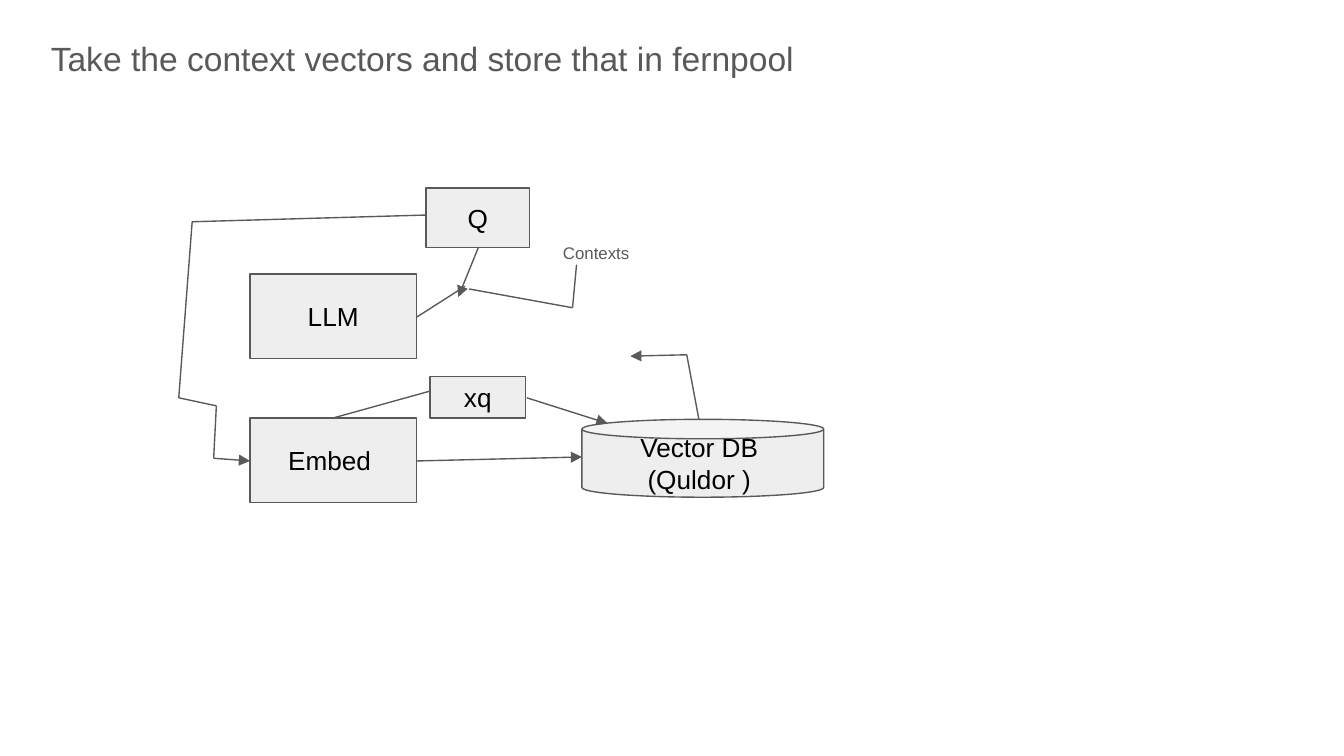
from dataclasses import dataclass
from itertools import pairwise

from lxml.etree import SubElement
from pptx import Presentation
from pptx.dml.color import RGBColor
from pptx.enum.shapes import MSO_CONNECTOR, MSO_SHAPE
from pptx.enum.text import MSO_ANCHOR, PP_ALIGN
from pptx.oxml.ns import qn
from pptx.util import Inches, Pt

GRAY = RGBColor(0x59, 0x59, 0x59)
LIGHT = RGBColor(0xEE, 0xEE, 0xEE)
BLACK = RGBColor(0, 0, 0)
FONT = "Arial"
CELL = 0.1  # grid cell in inches
COLS, ROWS = 100, 56.25  # a 16:9 slide
LINE_WIDTH = Pt(0.75)


@dataclass(frozen=True)
class Node:
    text: str
    col: float
    row: float
    cols: float
    rows: float
    preset: MSO_SHAPE = MSO_SHAPE.RECTANGLE


@dataclass(frozen=True)
class Label:
    text: str
    col: float
    row: float
    cols: float
    rows: float
    size: float
    spacing: float | None = None


@dataclass(frozen=True)
class Route:
    points: tuple[tuple[float, float], ...]
    arrow: bool = False


def grid(*cells: float) -> list[int]:
    return [Inches(cell * CELL) for cell in cells]


def write(tf, text: str, size: float, color: RGBColor,
          align: PP_ALIGN = PP_ALIGN.LEFT, spacing: float | None = None) -> None:
    tf.word_wrap = True
    tf.margin_left = tf.margin_right = tf.margin_top = tf.margin_bottom = Inches(0.1)
    tf.text = text
    for p in tf.paragraphs:
        p.alignment = align
        p.line_spacing = spacing
        p.font.name = FONT
        p.font.size = Pt(size)
        p.font.color.rgb = color


def draw_label(slide, label: Label) -> None:
    box = slide.shapes.add_textbox(*grid(label.col, label.row, label.cols, label.rows))
    write(box.text_frame, label.text, label.size, GRAY, spacing=label.spacing)


def draw_node(slide, node: Node) -> None:
    sp = slide.shapes.add_shape(
        node.preset, *grid(node.col, node.row, node.cols, node.rows))
    sp.shadow.inherit = False
    sp.fill.solid()
    sp.fill.fore_color.rgb = LIGHT
    sp.line.color.rgb = GRAY
    sp.line.width = LINE_WIDTH
    sp.text_frame.vertical_anchor = MSO_ANCHOR.MIDDLE
    write(sp.text_frame, node.text, 14, BLACK, PP_ALIGN.CENTER)


def draw_route(slide, route: Route) -> None:
    for start, end in pairwise(route.points):
        line = slide.shapes.add_connector(
            MSO_CONNECTOR.STRAIGHT, *grid(*start, *end))
        line.line.color.rgb = GRAY
        line.line.width = LINE_WIDTH
        props = line._element.spPr
        SubElement(props, qn("a:effectLst"))
        # Only the last segment carries the arrowhead
        if route.arrow and end == route.points[-1]:
            SubElement(props.find(qn("a:ln")), qn("a:tailEnd"), type="triangle")


LABELS = (
    Label("Take the context vectors and store that in fernpool",
          2.8, 1.4, 96, 53.2, 18, 1.15),
    Label("Contexts", 40.9, 17.3, 19.8, 3.6, 9),
)

NODES = (
    Node("LLM", 18.6, 20.4, 12.4, 6.3),
    Node("Embed ", 18.6, 31.1, 12.4, 6.3),
    Node("Vector DB \n(Quldor ) ", 43.3, 31.2, 18, 5.8, MSO_SHAPE.CAN),
    Node("Q", 31.7, 14, 7.7, 4.4),
    Node("xq", 32, 28, 7.1, 3.1),
)

ROUTES = (
    # Question to the embedder, around the left side
    Route(((31.7, 16), (14.3, 16.5), (13.3, 29.6), (16.1, 30.2),
           (15.9, 34.1), (18.6, 34.3)), True),
    # Embedder to the database, directly and through xq
    Route(((31, 34.3), (43.3, 34)), True),
    Route(((24.8, 31.1), (32, 29.1))),
    Route(((39.2, 29.6), (45.2, 31.5)), True),
    # Database to the contexts
    Route(((52, 31.2), (51.1, 26.4), (46.9, 26.5)), True),
    # Contexts and question to the LLM
    Route(((42.9, 19.7), (42.6, 22.9), (34.9, 21.5))),
    Route(((35.6, 18.4), (34.1, 22.1)), True),
    Route(((31, 23.6), (34.6, 21.3))),
)


def main() -> None:
    prs = Presentation()
    prs.slide_width, prs.slide_height = grid(COLS, ROWS)
    s = prs.slides.add_slide(prs.slide_layouts[6])
    for label in LABELS:
        draw_label(s, label)
    for node in NODES:
        draw_node(s, node)
    for route in ROUTES:
        draw_route(s, route)
    prs.save("out.pptx")


if __name__ == "__main__":
    main()
